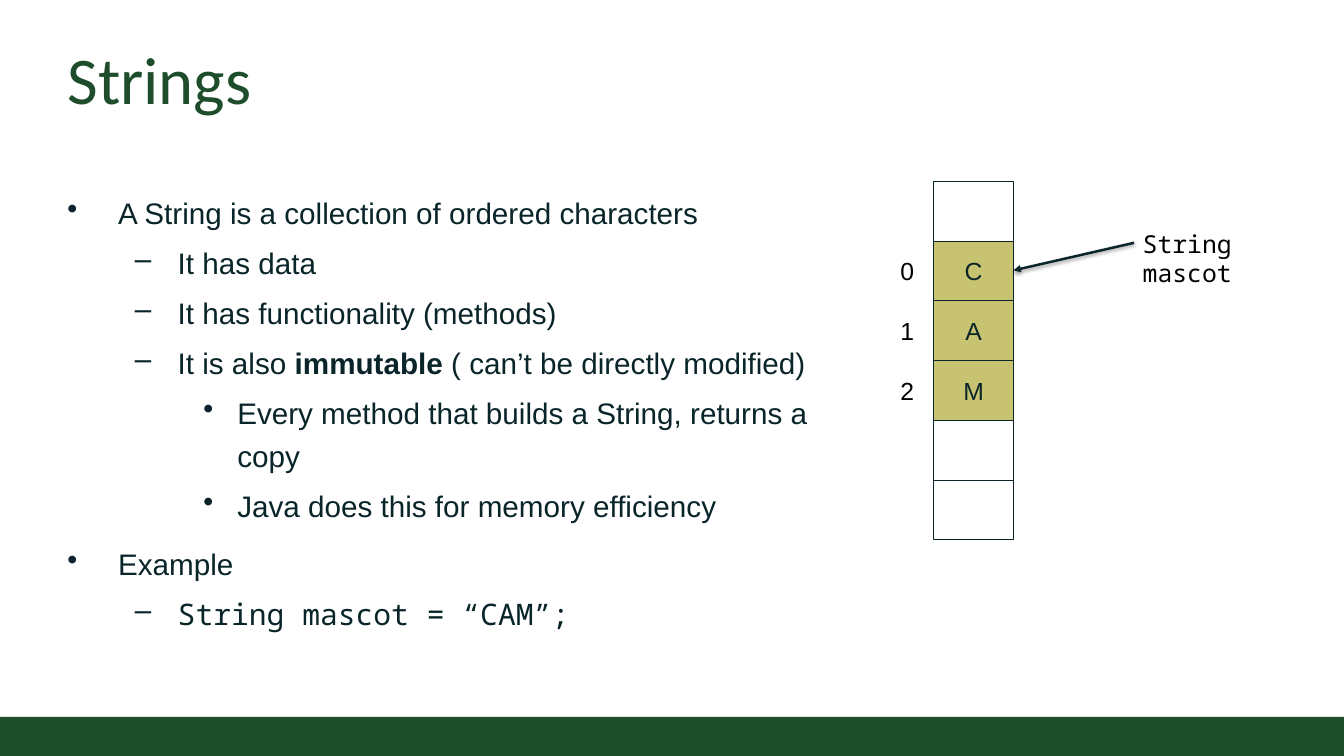
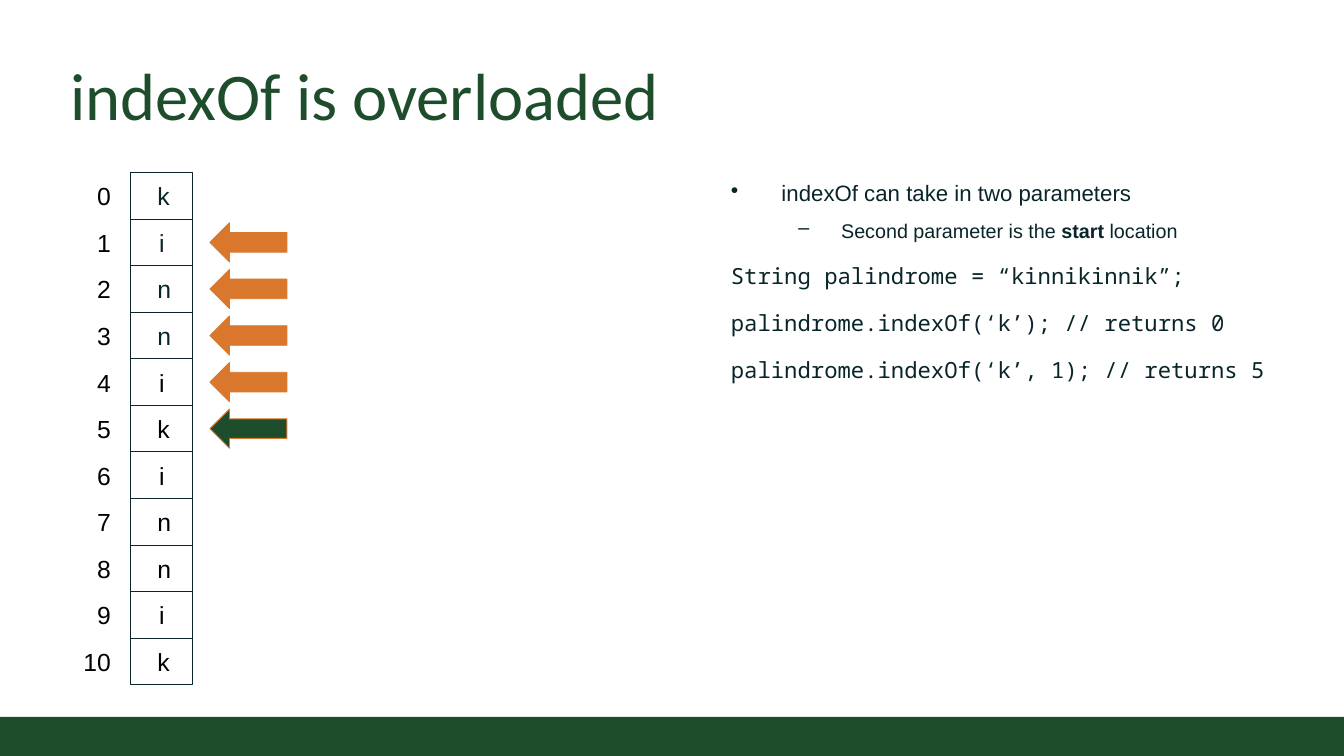
"""Builds two slides about strings as indexed memory."""
from lxml import etree
from pptx import Presentation
from pptx.dml.color import RGBColor
from pptx.enum.shapes import MSO_CONNECTOR, MSO_SHAPE
from pptx.enum.text import MSO_ANCHOR, PP_ALIGN
from pptx.oxml import parse_xml
from pptx.oxml.ns import nsdecls, qn
from pptx.util import Pt

RECTANGLE = MSO_SHAPE.RECTANGLE
LEFT_ARROW = MSO_SHAPE.LEFT_ARROW
STRAIGHT = MSO_CONNECTOR.STRAIGHT
TOP, MIDDLE, BOTTOM = MSO_ANCHOR.TOP, MSO_ANCHOR.MIDDLE, MSO_ANCHOR.BOTTOM
LEFT, CENTER, RIGHT = PP_ALIGN.LEFT, PP_ALIGN.CENTER, PP_ALIGN.RIGHT

GREEN = RGBColor(0x1E, 0x4D, 0x2B)
ORANGE = RGBColor(0xD9, 0x78, 0x2C)
GOLD = RGBColor(0xC8, 0xC3, 0x71)
INK = RGBColor(0x09, 0x25, 0x29)
BLACK = RGBColor(0, 0, 0)

SANS, TITLE_FONT, MONO = "Arial", "Calibri", "Noto Sans Mono"
WIDTH, HEIGHT, BAND_HEIGHT = 1088, 612, 31.7
LEVELS = [(41, 41, "•"), (89.3, 34.6, "–"), (137.5, 27.4, "•")]
PLAIN = None


def add_span(para, text, font=SANS, size=20, color=BLACK, bold=False):
    """Append a formatted run to a paragraph."""
    span = para.add_run()
    span.text = text
    span.font.name = font
    span.font.size = Pt(size)
    span.font.color.rgb = color
    span.font.bold = bold


def set_frame(shape, anchor, across, down):
    """Set wrapping, anchor and insets, and return the text frame."""
    frame = shape.text_frame
    frame.word_wrap = True
    frame.vertical_anchor = anchor
    frame.margin_left = frame.margin_right = Pt(across)
    frame.margin_top = frame.margin_bottom = Pt(down)
    return frame


def add_box(page, box, anchor=TOP, across=7.2, down=7.2):
    """Add a text box and return its frame."""
    return set_frame(page.shapes.add_textbox(*map(Pt, box)), anchor, across, down)


def add_label(page, box, text, align=LEFT, anchor=TOP, **style):
    """Add a text box holding one line of text."""
    para = add_box(page, box, anchor, down=3.6).paragraphs[0]
    para.alignment = align
    add_span(para, text, **style)


def add_block(page, kind, box, fill=None, line=None):
    """Add a preset shape with an optional fill and outline."""
    block = page.shapes.add_shape(kind, *map(Pt, box))
    block.shadow.inherit = False
    if fill is None:
        block.fill.background()
    else:
        block.fill.solid()
        block.fill.fore_color.rgb = fill
    if line is None:
        block.line.fill.background()
    else:
        block.line.color.rgb = line
        block.line.width = Pt(0.75)
    return block


def add_page(deck, title, left, top):
    """Add a slide with the shared band and title style."""
    page = deck.slides.add_slide(deck.slide_layouts[6])
    add_block(page, RECTANGLE, (0, HEIGHT - BAND_HEIGHT, WIDTH, BAND_HEIGHT), GREEN)
    frame = add_box(page, (left, top, 989.3, 80), BOTTOM)
    add_span(frame.paragraphs[0], title, font=TITLE_FONT, size=54, color=GREEN)
    return page


def set_bullet(para, level):
    """Indent a paragraph and give it the bullet of its level."""
    margin, hanging, mark = LEVELS[level]
    properties = para._p.get_or_add_pPr()
    properties.set("marL", str(Pt(margin)))
    properties.set("indent", str(-Pt(hanging)))
    etree.SubElement(properties, qn("a:buChar")).set("char", mark)


def add_body(page, box, lines):
    """Add an outline; odd pieces of each line are bold."""
    frame = add_box(page, box)
    for number, (level, style, *pieces) in enumerate(lines):
        para = frame.paragraphs[0] if number == 0 else frame.add_paragraph()
        if level is not PLAIN:
            set_bullet(para, level)
        para.line_spacing = 1.2
        para.space_after = Pt(6)
        para.space_before = Pt(6 if number and level in (PLAIN, 0) else 0)
        for place, piece in enumerate(pieces):
            add_span(para, piece, color=INK, bold=place % 2 == 1, **style)


def add_memory(page, box, letters, first=0, fill=None, ink_rows=4):
    """Stack equal cells in a box and number those that hold a letter."""
    left, top, width, height = box
    step = height / len(letters)
    for row, letter in enumerate(letters):
        y = top + row * step
        has_letter = letter != " "
        cell = add_block(page, RECTANGLE, (left, y, width, step), fill if has_letter else None, INK)
        if has_letter:
            para = set_frame(cell, MIDDLE, 21.6, 14.4).paragraphs[0]
            para.alignment = CENTER
            add_span(para, letter, color=INK if row < ink_rows else BLACK)
            add_label(page, (left - 59, y, 50, step), str(row - first), RIGHT, MIDDLE)


def add_pointer(page, start, end):
    """Add a shadowed line with an arrowhead at its end."""
    pointer = page.shapes.add_connector(STRAIGHT, *map(Pt, (*start, *end)))
    pointer.line.color.rgb = INK
    pointer.line.width = Pt(2)
    etree.SubElement(pointer.line._get_or_add_ln(), qn("a:tailEnd")).set("type", "triangle")
    pointer._element.spPr.append(parse_xml(
        f'<a:effectLst {nsdecls("a")}><a:outerShdw blurRad="{Pt(3.1)}" dist="{Pt(1.6)}" '
        'dir="5400000" rotWithShape="0"><a:srgbClr val="000000"><a:alpha val="38000"/>'
        '</a:srgbClr></a:outerShdw></a:effectLst>'))


def build_strings(deck):
    """Build the slide that introduces strings."""
    page = add_page(deck, "Strings", 47.5, 23)
    text = {"size": 24}
    add_body(page, (47.5, 144.7, 635.8, 374.4), [
        (0, text, "A String is a collection of ordered characters"),
        (1, text, "It has data"),
        (1, text, "It has functionality (methods)"),
        (1, text, "It is also ", "immutable", " ( can’t be directly modified)"),
        (2, text, "Every method that builds a String, returns a copy"),
        (2, text, "Java does this for memory efficiency"),
        (0, text, "Example"),
        (1, {"size": 24, "font": MONO}, "String mascot = “CAM”;"),
    ])
    add_memory(page, (756, 146.9, 64.4, 290), " CAM  ", first=1, fill=GOLD)
    add_label(page, (918, 181.4, 160, 60), "String mascot", font=MONO)
    add_pointer(page, (918, 196.6), (820.4, 218.9))


def build_index_of(deck):
    """Build the slide on the overloaded search method."""
    page = add_page(deck, "indexOf is overloaded", 49.7, 35.3)
    code = {"size": 18, "font": MONO}
    add_body(page, (584.6, 133.9, 494.6, 221), [
        (0, {"size": 18}, "indexOf can take in two parameters"),
        (1, {"size": 16}, "Second parameter is the ", "start", " location"),
        (PLAIN, code, "String palindrome = “kinnikinnik”;"),
        (PLAIN, code, "palindrome.indexOf(‘k’); // returns 0"),
        (PLAIN, code, "palindrome.indexOf(‘k’, 1); // returns 5"),
    ])
    word, top, step = "kinnikinnik", 139.7, 37.7
    add_memory(page, (105.8, top, 50.4, step * len(word)), word)
    arrow_height = 31.7
    found = word.index("k", 1)
    for row in range(1, found + 1):
        y = top + row * step + (step - arrow_height) / 2
        fill = GREEN if row == found else ORANGE
        add_block(page, LEFT_ARROW, (170, y, 62.3, arrow_height), fill, ORANGE)


def main():
    """Build and save the deck."""
    deck = Presentation()
    deck.slide_width, deck.slide_height = Pt(WIDTH), Pt(HEIGHT)
    build_strings(deck)
    build_index_of(deck)
    deck.save("out.pptx")


if __name__ == "__main__":
    main()
